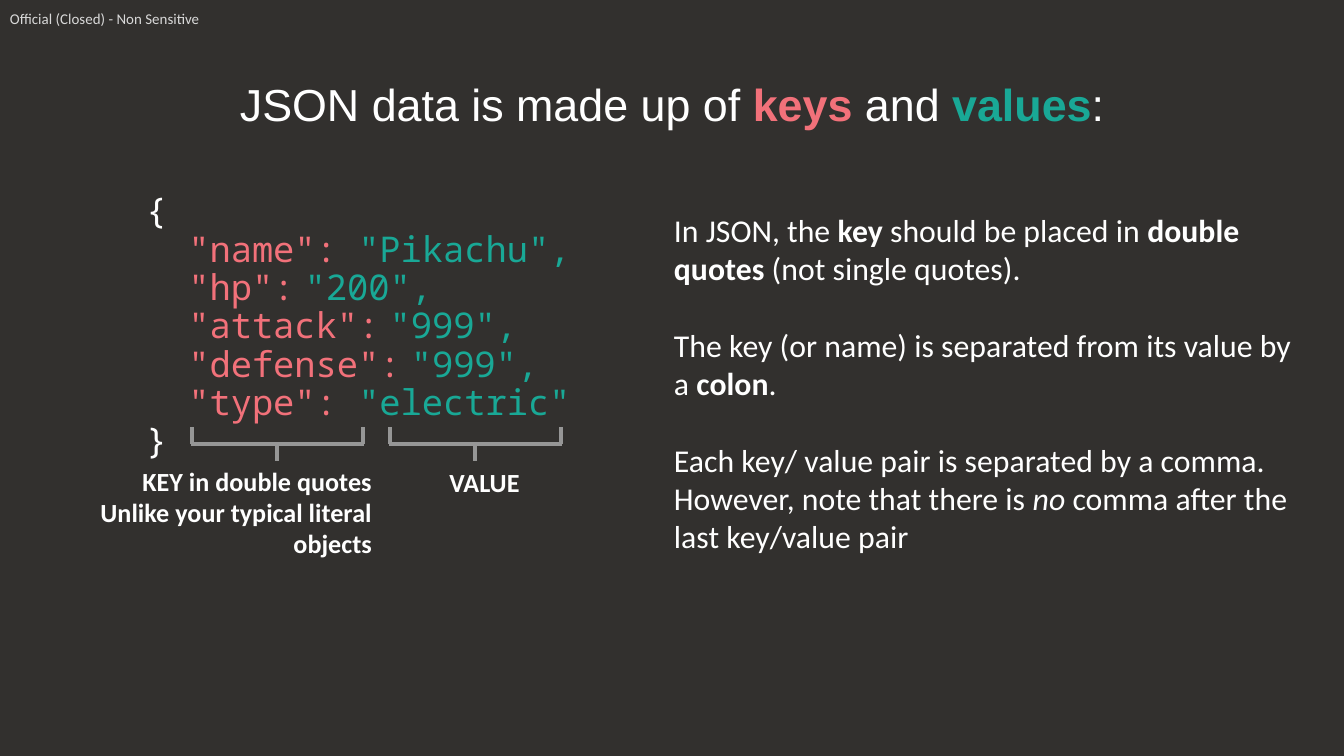
from dataclasses import dataclass
from typing import Any

from lxml.etree import SubElement
from pptx import Presentation
from pptx.dml.color import RGBColor
from pptx.enum.shapes import MSO_CONNECTOR as Connector
from pptx.enum.text import MSO_ANCHOR as Anchor, MSO_AUTO_SIZE as AutoSize, PP_ALIGN as Align
from pptx.oxml.ns import qn
from pptx.util import Emu, Pt

EMU_PER_PX = 914400 / 134.4
COLORS = {
    "background": "32302E",
    "white": "FFFFFF",
    "key": "F2717A",
    "value": "19A896",
    "bracket": "969696",
    "label": "D9D9D9",
}


@dataclass(frozen=True)
class Span:
    text: str
    color: str = "white"
    bold: bool = False
    italic: bool = False
    size: int | None = None


@dataclass(frozen=True)
class TextBlock:
    box: tuple[int, int, int, int]
    insets: tuple[int, int]
    font: str
    size: int
    paragraphs: list[list[Span]]
    align: Align = Align.LEFT
    anchor: Anchor = Anchor.TOP
    line_spacing: float = 1.0
    gap: float = 0


@dataclass(frozen=True)
class Bracket:
    left: int
    right: int
    top: int = 427
    bar: int = 444
    bottom: int = 461


def px(length: int) -> Emu:
    return Emu(round(length * EMU_PER_PX))


def color(name: str) -> RGBColor:
    return RGBColor.from_string(COLORS[name])


def apply_format(target: Any, values: dict[str, Any]) -> None:
    for name, value in values.items():
        setattr(target, name, value)


def fill_text(shape: Any, block: TextBlock) -> None:
    left, top, width, height = map(px, block.box)
    apply_format(shape, {"left": left, "top": top, "width": width, "height": height})
    horizontal, vertical = map(px, block.insets)
    frame = shape.text_frame
    apply_format(frame, {
        "word_wrap": True,
        "auto_size": AutoSize.NONE,
        "vertical_anchor": block.anchor,
        "margin_left": horizontal,
        "margin_right": horizontal,
        "margin_top": vertical,
        "margin_bottom": vertical,
    })
    for index, spans in enumerate(block.paragraphs):
        paragraph = frame.add_paragraph() if index else frame.paragraphs[0]
        apply_format(paragraph, {
            "alignment": block.align,
            "line_spacing": block.line_spacing,
            "space_before": Pt(block.gap if index else 0),
            "space_after": Pt(0),
        })
        for span in spans:
            run = paragraph.add_run()
            run.text = span.text
            apply_format(run.font, {
                "name": block.font,
                "size": Pt(span.size or block.size),
                "bold": span.bold,
                "italic": span.italic,
            })
            run.font.color.rgb = color(span.color)


def draw_text(slide: Any, block: TextBlock) -> None:
    fill_text(slide.shapes.add_textbox(*map(px, block.box)), block)


def draw_bracket(slide: Any, bracket: Bracket) -> None:
    middle = (bracket.left + bracket.right) // 2
    group = slide.shapes.add_group_shape()
    for ends in (
        (bracket.right, bracket.bar, bracket.right, bracket.top),
        (bracket.left, bracket.bar, bracket.left, bracket.top),
        (middle, bracket.bottom, middle, bracket.bar),
        (bracket.right + 1, bracket.bar, bracket.left - 1, bracket.bar),
    ):
        line = group.shapes.add_connector(Connector.STRAIGHT, *map(px, ends))
        line.line.width = Pt(2)
        line.line.color.rgb = color("bracket")
        SubElement(line._element.spPr, qn("a:effectLst"))


def code_line(key: str, value: str, space: int | None = None) -> list[Span]:
    return [Span(f'  "{key}":', "key"), Span(" ", "key", size=space), Span(value, "value")]


HEADING = TextBlock(
    (23, 70, 1298, 97), (13, 13), "Arial", 24,
    [[
        Span("JSON data is made up of "), Span("keys ", "key", bold=True),
        Span("and "), Span("values", "value", bold=True), Span(":"),
    ]],
    align=Align.CENTER, line_spacing=0.9,
)
CODE = TextBlock(
    (48, 124, 696, 407), (98, 98), "Noto Sans Mono", 19,
    [
        [Span("{")],
        code_line("name", '"Pikachu",'),
        code_line("hp", '"200",', 9),
        code_line("attack", '"999",', 9),
        code_line("defense", '"999",', 9),
        code_line("type", '"electric"'),
        [Span("}")],
    ],
    anchor=Anchor.MIDDLE, line_spacing=0.9,
)
KEY_CAPTION = TextBlock(
    (16, 460, 366, 71), (10, 5), "Calibri", 14,
    [
        [Span("KEY in double quotes", bold=True)],
        [Span("Unlike your typical literal objects", bold=True)],
    ],
    align=Align.RIGHT,
)
VALUE_CAPTION = TextBlock(
    (405, 461, 159, 40), (10, 5), "Calibri", 14,
    [[Span("VALUE", bold=True)]], align=Align.CENTER,
)
EXPLANATION = TextBlock(
    (664, 206, 641, 391), (10, 5), "Calibri", 17,
    [
        [
            Span("In JSON, the "), Span("key", bold=True), Span(" should be placed in "),
            Span("double quotes ", bold=True), Span("(not single quotes)."),
        ],
        [
            Span("The key (or name) is separated from its value by a "),
            Span("colon", bold=True), Span("."),
        ],
        [
            Span("Each key/ value pair is separated by a comma. However, note that there is "),
            Span("no ", italic=True), Span("comma after the last key/value pair"),
        ],
    ],
    gap=20.75,
)
CLASSIFICATION = TextBlock(
    (0, 0, 218, 31), (10, 10), "Calibri", 8,
    [[Span("Official (Closed) - Non Sensitive", "label")]],
)
BRACKETS = [Bracket(192, 363), Bracket(390, 561)]


def main() -> None:
    presentation = Presentation()
    apply_format(presentation, {"slide_width": px(1344), "slide_height": px(756)})
    slide = presentation.slides.add_slide(presentation.slide_layouts[5])
    slide.background.fill.solid()
    slide.background.fill.fore_color.rgb = color("background")
    fill_text(slide.shapes.title, HEADING)
    for block in (CODE, KEY_CAPTION, VALUE_CAPTION, EXPLANATION, CLASSIFICATION):
        draw_text(slide, block)
    for bracket in BRACKETS:
        draw_bracket(slide, bracket)
    presentation.save("out.pptx")


if __name__ == "__main__":
    main()
